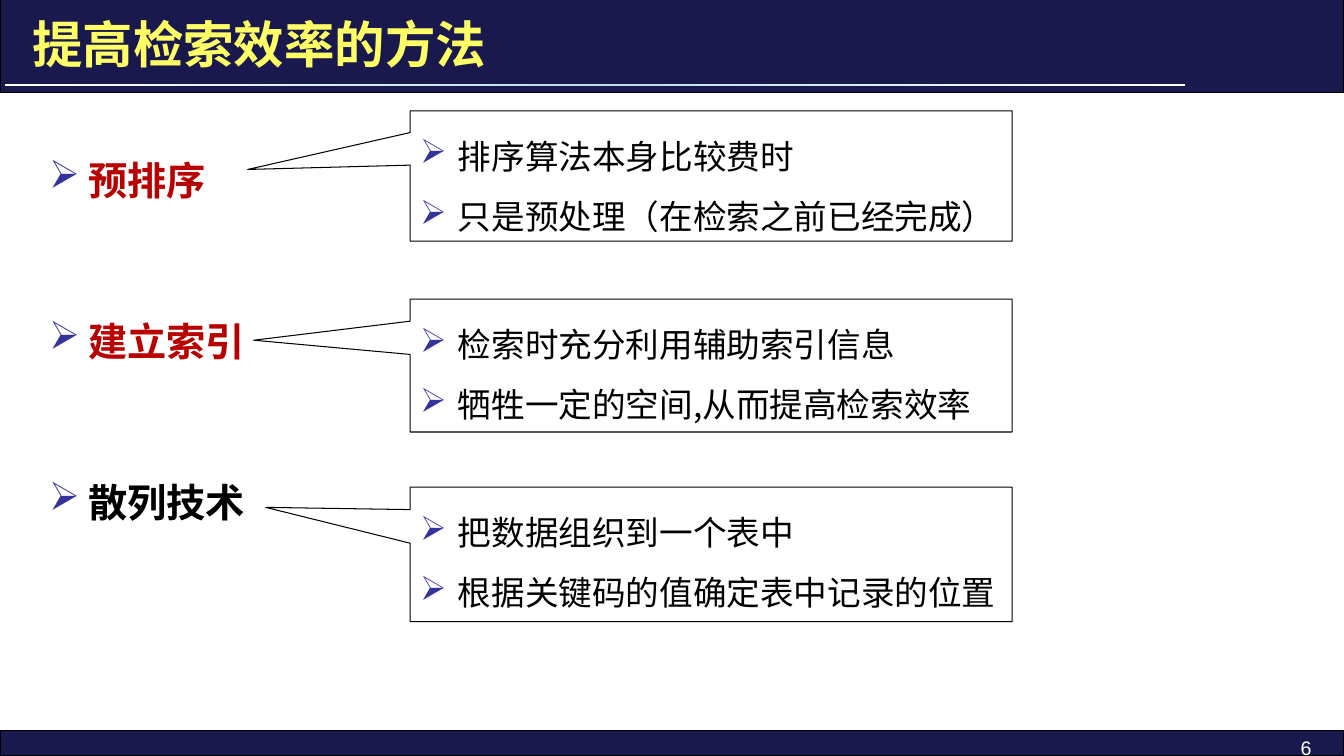
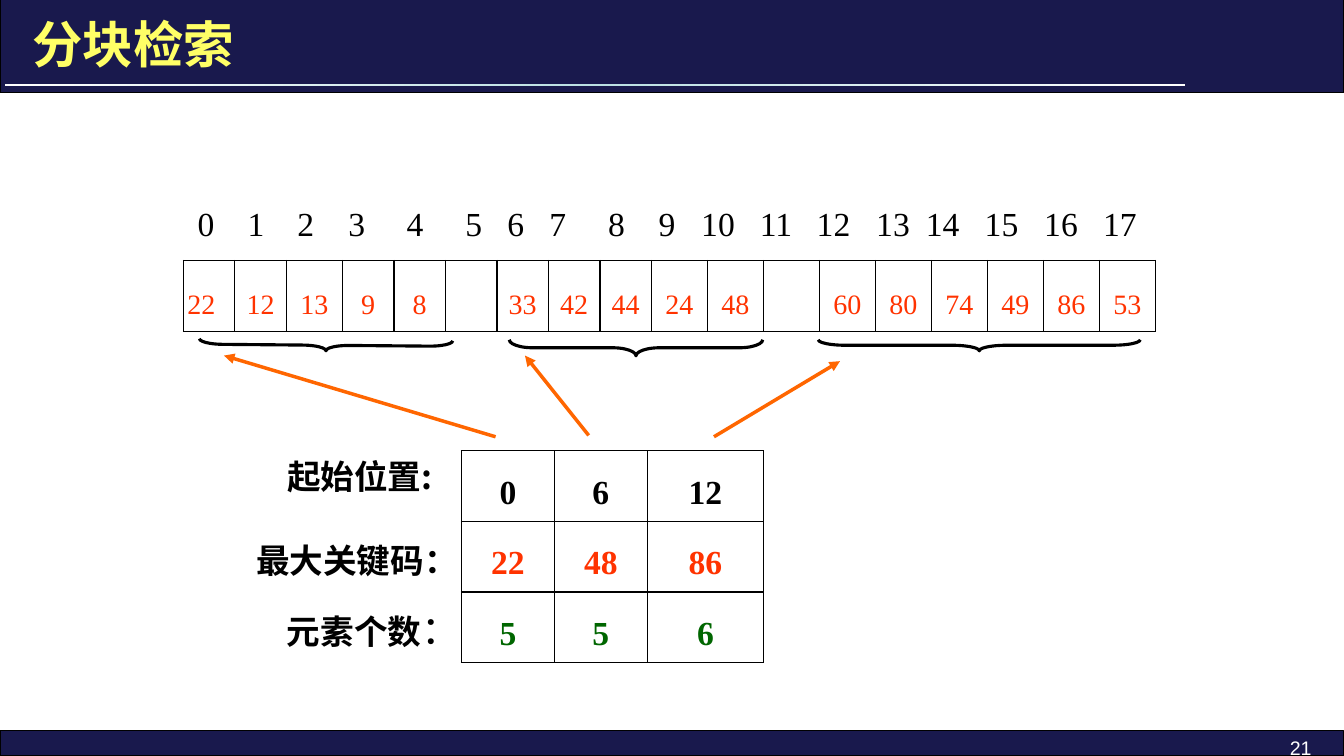
from copy import deepcopy

from lxml import etree
from pptx import Presentation
from pptx import util as u
from pptx.dml import color
from pptx.enum import shapes, text
from pptx.oxml import ns

Pt = u.Pt
WIDTH, HEIGHT = 960, 540
NAVY, YELLOW, WHITE, BLACK = "19194D", "FFFF66", "FFFFFF", "000000"
RED, VERMILION, GREEN, ORANGE = "B90000", "FF3300", "006600", "FF6600"
PALE_BLUE, BULLET_BLUE = "BBE0E3", "333399"
SANS, SERIF = "Noto Sans CJK SC", "Times New Roman"
LEFT, CENTER, RIGHT = text.PP_ALIGN.LEFT, text.PP_ALIGN.CENTER, text.PP_ALIGN.RIGHT


def rgb(value):
    return color.RGBColor.from_string(value)


def add_xml(parent, tag, **attributes):
    return etree.SubElement(parent, ns.qn(tag), attributes)


def add_run(paragraph, words, size=24, font=SANS, fill=BLACK, bold=False):
    run = paragraph.add_run()
    run.text = words
    run.font.size = Pt(size)
    run.font.bold = bold
    run.font.color.rgb = rgb(fill)
    run.font.name = font
    add_xml(run.font._element, "a:ea", typeface=SANS)


def add_bullet(paragraph, indent):
    properties = paragraph._p.get_or_add_pPr()
    properties.set("marL", str(Pt(indent)))
    properties.set("indent", str(-Pt(indent)))
    bullet_color = add_xml(properties, "a:buClr")
    add_xml(bullet_color, "a:srgbClr", val=BULLET_BLUE)
    add_xml(properties, "a:buChar", char="➢")


def add_text(slide, words, left, top, width, height, align=LEFT,
             anchor=text.MSO_ANCHOR.TOP, **run_format):
    """Add a one-paragraph text box and return its paragraph."""
    box = slide.shapes.add_textbox(Pt(left), Pt(top), Pt(width), Pt(height))
    box.text_frame.word_wrap = True
    box.text_frame.vertical_anchor = anchor
    paragraph = box.text_frame.paragraphs[0]
    paragraph.alignment = align
    add_run(paragraph, words, **run_format)
    return paragraph


def add_shape(slide, kind, left, top, width, height, fill=None, line=BLACK, weight=0.75):
    shape = slide.shapes.add_shape(kind, Pt(left), Pt(top), Pt(width), Pt(height))
    shape.shadow.inherit = False
    if fill:
        shape.fill.solid()
        shape.fill.fore_color.rgb = rgb(fill)
    else:
        shape.fill.background()
    if line:
        shape.line.color.rgb = rgb(line)
        shape.line.width = Pt(weight)
    else:
        shape.line.fill.background()
    return shape


def add_title_rule(slide):
    rule = add_shape(slide, shapes.MSO_SHAPE.RECTANGLE, 3.6, 60, 843, 1.4, line=None)
    rule.fill.gradient()
    rule.fill.gradient_angle = 0
    stop_list = rule._element.spPr.find(ns.qn("a:gradFill")).find(ns.qn("a:gsLst"))
    stop_list.append(deepcopy(stop_list[-1]))
    for stop, position, fill in zip(rule.fill.gradient_stops, (0, 0.5, 1),
                                    (WHITE, PALE_BLUE, WHITE)):
        stop.position = position
        stop.color.rgb = rgb(fill)


def add_slide(presentation, title, number, title_font=SANS):
    slide = presentation.slides.add_slide(presentation.slide_layouts[6])
    for top, height in ((522, 18), (0, 66.4)):
        add_shape(slide, shapes.MSO_SHAPE.RECTANGLE, 0, top, WIDTH, height, fill=NAVY)
    add_title_rule(slide)
    add_text(slide, str(number), 800, 522, 144, 18, align=RIGHT,
             size=14, font="Arial", fill=WHITE)
    add_text(slide, title, 16, 6, 832, 50, anchor=text.MSO_ANCHOR.MIDDLE,
             size=36, font=title_font, fill=YELLOW, bold=True)
    return slide


def add_bullets(frame, items, indent, line_spacing, gap=0, **run_format):
    """Fill a frame with bulleted (words, colour) items, gap points apart."""
    frame.word_wrap = True
    for index, (words, fill) in enumerate(items):
        paragraph = frame.add_paragraph() if index else frame.paragraphs[0]
        paragraph.alignment = LEFT
        add_bullet(paragraph, indent)
        paragraph.line_spacing = Pt(line_spacing)
        paragraph.space_before = Pt(gap if index else 0)
        add_run(paragraph, words, fill=fill, **run_format)


def add_callout(slide, lines, top, height, pointer):
    callout = add_shape(slide, shapes.MSO_SHAPE.RECTANGULAR_CALLOUT, 293, top, 430, height)
    callout.adjustments[0], callout.adjustments[1] = pointer
    callout.text_frame.vertical_anchor = text.MSO_ANCHOR.TOP
    add_bullets(callout.text_frame, [(line, BLACK) for line in lines], 27, 43)


def add_brace(slide, center_x, center_y, span, depth, curve, rotation=270):
    """Add a brace that opens upwards."""
    brace = add_shape(slide, shapes.MSO_SHAPE.LEFT_BRACE, center_x - depth / 2,
                      center_y - span / 2, depth, span, weight=2.25)
    brace.adjustments[0] = curve
    brace.rotation = rotation


def add_arrow(slide, start, end):
    arrow = slide.shapes.add_connector(shapes.MSO_CONNECTOR.STRAIGHT,
                                       *(Pt(value) for value in start + end))
    arrow.line.color.rgb = rgb(ORANGE)
    arrow.line.width = Pt(2.5)
    add_xml(arrow.line._get_or_add_ln(), "a:tailEnd", type="triangle")
    add_xml(arrow._element.spPr, "a:effectLst")


def add_cell_borders(cell):
    properties = cell._tc.get_or_add_tcPr()
    for index, side in enumerate(("a:lnL", "a:lnR", "a:lnT", "a:lnB")):
        border = etree.Element(ns.qn(side), w=str(Pt(1)))
        add_xml(add_xml(border, "a:solidFill"), "a:srgbClr", val=BLACK)
        properties.insert(index, border)


def add_table(slide, rows, left, top, widths, row_height, row_colors,
              side_inset, top_inset, **run_format):
    table = slide.shapes.add_table(len(rows), len(widths), Pt(left), Pt(top),
                                   Pt(sum(widths)), Pt(row_height * len(rows))).table
    table.first_row = table.horz_banding = False
    for column, width in zip(table.columns, widths):
        column.width = Pt(width)
    for row, values, fill in zip(table.rows, rows, row_colors):
        row.height = Pt(row_height)
        for cell, value in zip(row.cells, values):
            cell.fill.background()
            add_cell_borders(cell)
            cell.margin_left = cell.margin_right = Pt(side_inset)
            cell.margin_top, cell.margin_bottom = Pt(top_inset), Pt(3.6)
            if value is not None:
                paragraph = cell.text_frame.paragraphs[0]
                paragraph.alignment = CENTER
                paragraph.line_spacing = 1.5
                add_run(paragraph, str(value), fill=fill, **run_format)
    return table


def add_index_row(slide, left, top, centers):
    """Number the array positions, each centred on its own tab stop."""
    labels = "".join(f"\t{index}" for index in range(len(centers)))
    paragraph = add_text(slide, labels, left, top, 702, 36, font=SERIF)
    tabs = add_xml(paragraph._p.get_or_add_pPr(), "a:tabLst")
    for center in centers:
        add_xml(tabs, "a:tab", pos=str(Pt(center - left - 7.2)), algn="ctr")


def build_methods(presentation):
    slide = add_slide(presentation, "提高检索效率的方法", 6, title_font="Cambria")
    methods = slide.shapes.add_textbox(Pt(28), Pt(101.4), Pt(240), Pt(300))
    add_bullets(methods.text_frame,
                [("预排序", RED), ("建立索引", RED), ("散列技术", BLACK)],
                28, 40, gap=75, size=28, font=SERIF, bold=True)
    callouts = (
        (("排序算法本身比较费时", "只是预处理（在检索之前已经完成）"), 93, (-0.77, -0.05)),
        (("检索时充分利用辅助索引信息", "牺牲一定的空间,从而提高检索效率"), 95, (-0.76, -0.19)),
        (("把数据组织到一个表中", "根据关键码的值确定表中记录的位置"), 96, (-0.74, -0.35)),
    )
    for index, (lines, height, pointer) in enumerate(callouts):
        add_callout(slide, lines, 79.2 + 134.4 * index, height, pointer)


def build_block_search(presentation):
    slide = add_slide(presentation, "分块检索", 21)
    add_index_row(slide, 134, 141.5,
                  (146.5, 183, 218.5, 255, 296.5, 338.5, 368.5, 398.5, 440.5,
                   476.5, 513, 554.5, 595.5, 638, 673.5, 715.5, 758, 800))
    keys = (22, 12, 13, 9, 8, None, 33, 42, 44, 24, 48, None, 60, 80, 74, 49, 86, 53)
    key_widths = [40 if index == 2 or index > 8 else 36.8 for index in range(len(keys))]
    key_table = add_table(slide, [keys], 131, 186, key_widths, 51, [VERMILION],
                          2.9, 10, size=20, font=SERIF)
    key_table.cell(0, 0).text_frame.paragraphs[0].alignment = LEFT

    add_brace(slide, 232.9, 246.6, 181, 7.9, 2.13, rotation=270.5)
    add_brace(slide, 454.3, 248.4, 181, 11.5, 1.46)
    add_brace(slide, 699.5, 246.6, 230, 7.9, 2.47)
    for start, end in (((354, 312), (160, 254)), ((420.5, 311), (375, 254)),
                       ((510, 312), (600, 258))):
        add_arrow(slide, start, end)

    add_table(slide, ((0, 6, 12), (22, 48, 86), (5, 5, 6)), 329.6, 322, (66.4, 66.4, 83),
              50.4, (BLACK, VERMILION, GREEN), 7.2, 3.6, size=24, font=SERIF, bold=True)
    add_text(slide, "起始位置:", 198, 322, 130, 44, bold=True)
    add_text(slide, "最大关键码：", 166, 382, 168, 28, align=RIGHT, bold=True)
    count_label = add_text(slide, "元素个数", 186, 429, 150, 32, align=RIGHT, bold=True)
    add_run(count_label, "：", size=28, font=SERIF)


def main():
    presentation = Presentation()
    presentation.slide_width, presentation.slide_height = Pt(WIDTH), Pt(HEIGHT)
    build_methods(presentation)
    build_block_search(presentation)
    presentation.save("out.pptx")


if __name__ == "__main__":
    main()
